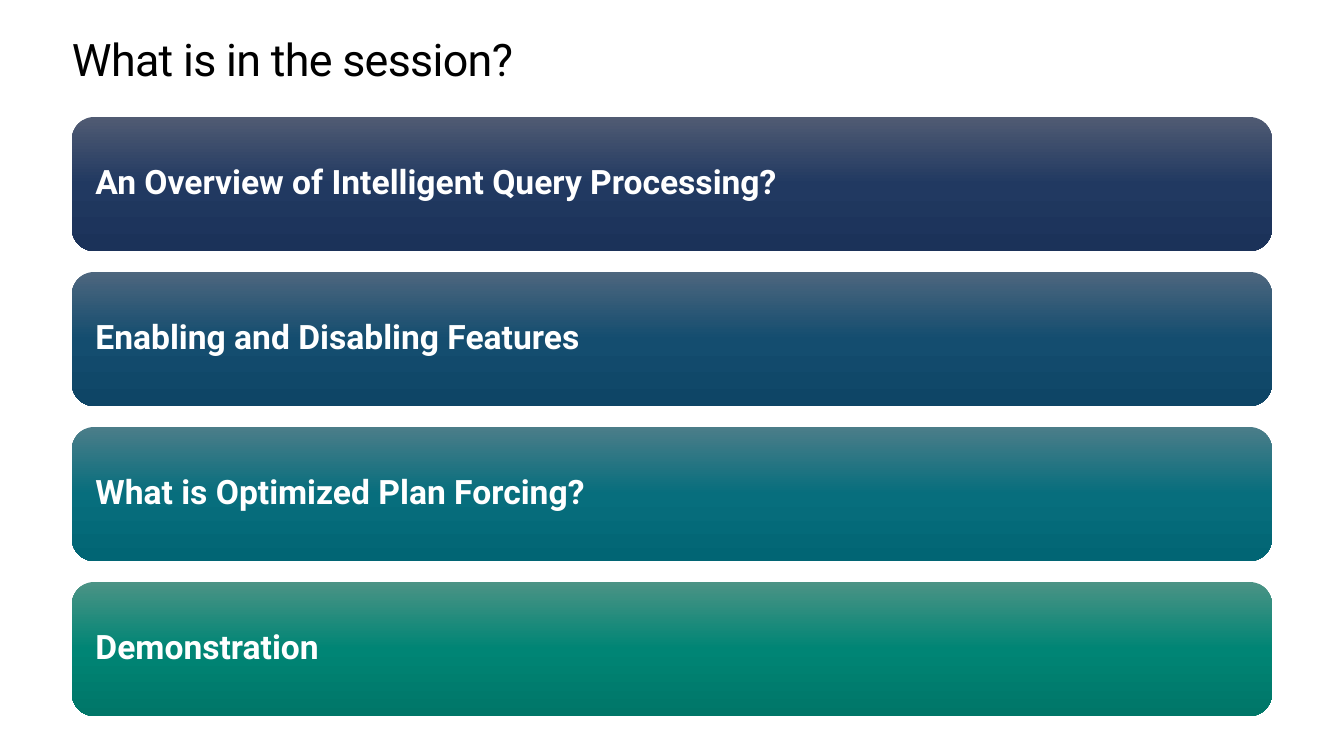
"""Builds the session agenda slide: a title above four gradient cards."""
import copy

import pptx
import pptx.dml.color
import pptx.enum.shapes
import pptx.enum.text
import pptx.util

RGB = pptx.dml.color.RGBColor
WHITE = RGB(0xFF, 0xFF, 0xFF)
BLACK = RGB(0x00, 0x00, 0x00)
NAVY = (RGB(0x50, 0x5B, 0x73), RGB(0x21, 0x39, 0x61), RGB(0x1B, 0x32, 0x59))
BLUE = (RGB(0x4D, 0x66, 0x7E), RGB(0x14, 0x4D, 0x6F), RGB(0x0E, 0x45, 0x66))
TEAL = (RGB(0x4B, 0x7D, 0x89), RGB(0x07, 0x6E, 0x7D), RGB(0x01, 0x65, 0x74))
GREEN = (RGB(0x4B, 0x93, 0x85), RGB(0x00, 0x85, 0x75), RGB(0x00, 0x76, 0x68))

TITLE = "What is in the session?"
TOPICS = [
    ("An Overview of Intelligent Query Processing?", NAVY),
    ("Enabling and Disabling Features", BLUE),
    ("What is Optimized Plan Forcing?", TEAL),
    ("Demonstration", GREEN),
]

SLIDE_WIDTH, SLIDE_HEIGHT = 1344, 756
LEFT, WIDTH = 72, 1200
TITLE_TOP, TITLE_HEIGHT = 35, 50
CARD_TOP, CARD_HEIGHT, CARD_GAP = 117, 134, 21
CARD_INSET = 17

TITLE_FONT = {"name": "Roboto", "size": pptx.util.Pt(32), "bold": False}
CARD_FONT = {"name": "Roboto", "size": pptx.util.Pt(24), "bold": True}


def px(length):
    return pptx.util.Emu(round(length * 914400 / 100.8))


def write(box, text, font, color, inset, line_spacing, anchor):
    frame = box.text_frame
    margins = dict.fromkeys(
        ("margin_left", "margin_top", "margin_right", "margin_bottom"), px(inset))
    layout = {"word_wrap": True, "vertical_anchor": anchor, **margins}
    for name, value in layout.items():
        setattr(frame, name, value)
    para = frame.paragraphs[0]
    para.alignment = pptx.enum.text.PP_ALIGN.LEFT
    para.line_spacing = line_spacing
    span = para.add_run()
    span.text = text
    for name, value in font.items():
        setattr(span.font, name, value)
    span.font.color.rgb = color
    return span


def fill_gradient(shape, colors):
    shape.fill.gradient()
    shape.fill.gradient_angle = 270
    stop_list = shape._element.spPr.find(".//" + pptx.oxml.ns.qn("a:gsLst"))
    stop_list.append(copy.deepcopy(stop_list[-1]))
    for index, (stop, color) in enumerate(zip(shape.fill.gradient_stops, colors)):
        stop.color.rgb = color
        stop.position = index / (len(colors) - 1)


def add_title(page):
    box = page.shapes.add_textbox(
        px(LEFT), px(TITLE_TOP), px(WIDTH), px(TITLE_HEIGHT))
    span = write(box, TITLE, TITLE_FONT, BLACK, 0, pptx.util.Pt(36.2),
                 pptx.enum.text.MSO_ANCHOR.TOP)
    span.font._element.set("spc", "-50")


def add_card(page, index, topic, colors):
    top = CARD_TOP + index * (CARD_HEIGHT + CARD_GAP)
    card = page.shapes.add_shape(
        pptx.enum.shapes.MSO_SHAPE.ROUNDED_RECTANGLE,
        px(LEFT), px(top), px(WIDTH), px(CARD_HEIGHT))
    card.shadow.inherit = False
    card.line.fill.background()
    fill_gradient(card, colors)
    write(card, topic, CARD_FONT, WHITE, CARD_INSET, 0.9,
          pptx.enum.text.MSO_ANCHOR.MIDDLE)


def main():
    deck = pptx.Presentation()
    deck.slide_width, deck.slide_height = px(SLIDE_WIDTH), px(SLIDE_HEIGHT)
    page = deck.slides.add_slide(deck.slide_layouts[6])
    add_title(page)
    for index, (topic, colors) in enumerate(TOPICS):
        add_card(page, index, topic, colors)
    deck.save("out.pptx")


if __name__ == "__main__":
    main()
